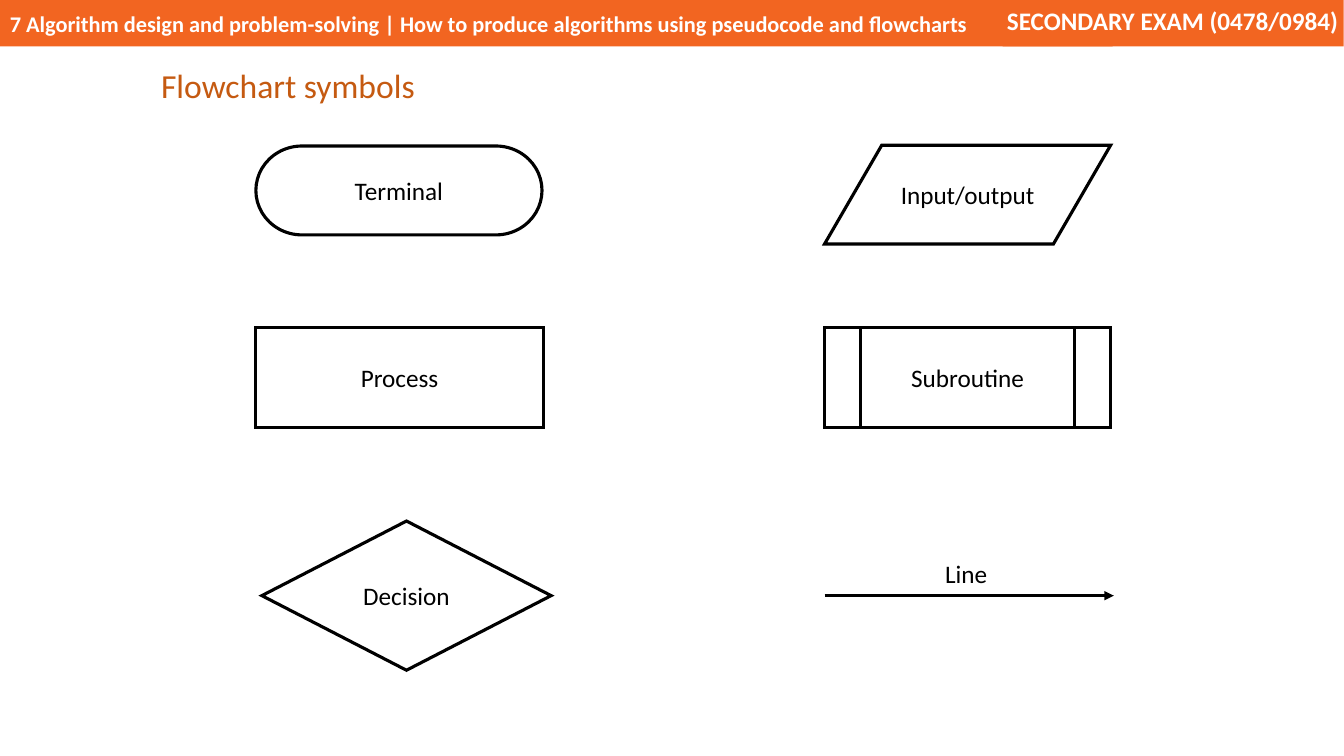
from dataclasses import dataclass
from lxml import etree
from pptx import Presentation
from pptx import util as u
from pptx.dml import color
from pptx.enum import shapes, text
from pptx.oxml import ns

Cm, Pt = u.Cm, u.Pt
Kind = shapes.MSO_SHAPE
Side = text.PP_ALIGN


@dataclass(frozen=True)
class Theme:
    face: str = "Calibri"
    ink: str = "000000"
    paper: str = "FFFFFF"
    band: str = "F26521"
    title: str = "C55A11"
    small: int = 16
    body: int = 18
    large: int = 24
    rule: float = 2.25


LOOK = Theme()
LEFT, RIGHT, WIDE = 6.45, 20.78, 7.21
LABEL = {"line_spacing": 1.07, "space_after": Pt(8)}
INSET = {"margin_left": 0, "margin_right": Cm(0.13)}


def rgb(code):
    return color.RGBColor.from_string(code)


def apply(item, values):
    for name, value in values.items():
        setattr(item, name, value)


def write(shape, words, size, ink, bold=False, frame=None, para=None):
    apply(shape.text_frame, {"word_wrap": True, **(frame or {})})
    line = shape.text_frame.paragraphs[0]
    apply(line, para or {})
    run = line.add_run()
    run.text = words
    apply(run.font, {"name": LOOK.face, "size": Pt(size), "bold": bold})
    run.font.color.rgb = rgb(ink)


def block(slide, kind, place, fill):
    shape = slide.shapes.add_shape(kind, *map(Cm, place))
    shape.shadow.inherit = False
    shape.fill.solid()
    shape.fill.fore_color.rgb = rgb(fill)
    shape.line.fill.background()
    return shape


def band(slide, place, words, size, frame, para):
    shape = block(slide, Kind.RECTANGLE, place, LOOK.band)
    frame = {"vertical_anchor": text.MSO_ANCHOR.TOP, **frame}
    write(shape, words, size, LOOK.paper, True, frame, para)


def stroke(line):
    line.color.rgb = rgb(LOOK.ink)
    line.width = Pt(LOOK.rule)
    join = etree.SubElement(line._get_or_add_ln(), ns.qn("a:miter"))
    join.set("lim", "800000")


def symbol(slide, kind, place, words):
    shape = block(slide, kind, place, LOOK.paper)
    stroke(shape.line)
    write(shape, words, LOOK.body, LOOK.ink,
          frame={"vertical_anchor": text.MSO_ANCHOR.MIDDLE},
          para={"alignment": Side.CENTER})


def label(slide, place, words, size, ink, wrap=True):
    box = slide.shapes.add_textbox(*map(Cm, place))
    frame = {"word_wrap": wrap, "auto_size": text.MSO_AUTO_SIZE.SHAPE_TO_FIT_TEXT}
    write(box, words, size, ink, frame=frame, para=LABEL)


def arrow(slide, start, end):
    link = slide.shapes.add_connector(
        shapes.MSO_CONNECTOR.STRAIGHT, *map(Cm, start + end))
    stroke(link.line)
    tip = etree.SubElement(link.line._get_or_add_ln(), ns.qn("a:tailEnd"))
    tip.set("type", "triangle")
    etree.SubElement(link._element.spPr, ns.qn("a:effectLst"))


def main():
    deck = Presentation()
    apply(deck, {"slide_width": Cm(33.87), "slide_height": Cm(19.05)})
    slide = deck.slides.add_slide(deck.slide_layouts[6])

    band(slide, (0, 0, 28.04, 1.17),
         "7 Algorithm design and problem-solving | How to produce algorithms "
         "using pseudocode and flowcharts",
         LOOK.small, {}, {"alignment": Side.LEFT, "line_spacing": 1.2})
    band(slide, (25.27, 0, 8.59, 1.17), "SECONDARY EXAM (0478/0984)",
         LOOK.body, INSET, {"alignment": Side.RIGHT})

    symbols = (
        (Kind.FLOWCHART_TERMINATOR, (LEFT, 3.68, WIDE, 2.24), "Terminal"),
        (Kind.FLOWCHART_DATA, (RIGHT, 3.66, WIDE, 2.49), "Input/output"),
        (Kind.RECTANGLE, (LEFT, 8.26, 7.24, 2.51), "Process"),
        (Kind.FLOWCHART_PREDEFINED_PROCESS, (RIGHT, 8.26, WIDE, 2.51), "Subroutine"),
        (Kind.FLOWCHART_DECISION, (6.6, 13.13, 7.29, 3.76), "Decision"),
    )
    for item in symbols:
        symbol(slide, *item)

    arrow(slide, (RIGHT, 15.01), (28.07, 15.01))
    label(slide, (23.57, 13.89, 1.6, 1.04), "Line", LOOK.body, LOOK.ink, False)
    label(slide, (3.81, 1.45, 14.71, 1.3), "Flowchart symbols", LOOK.large, LOOK.title)
    deck.save("out.pptx")


if __name__ == "__main__":
    main()
